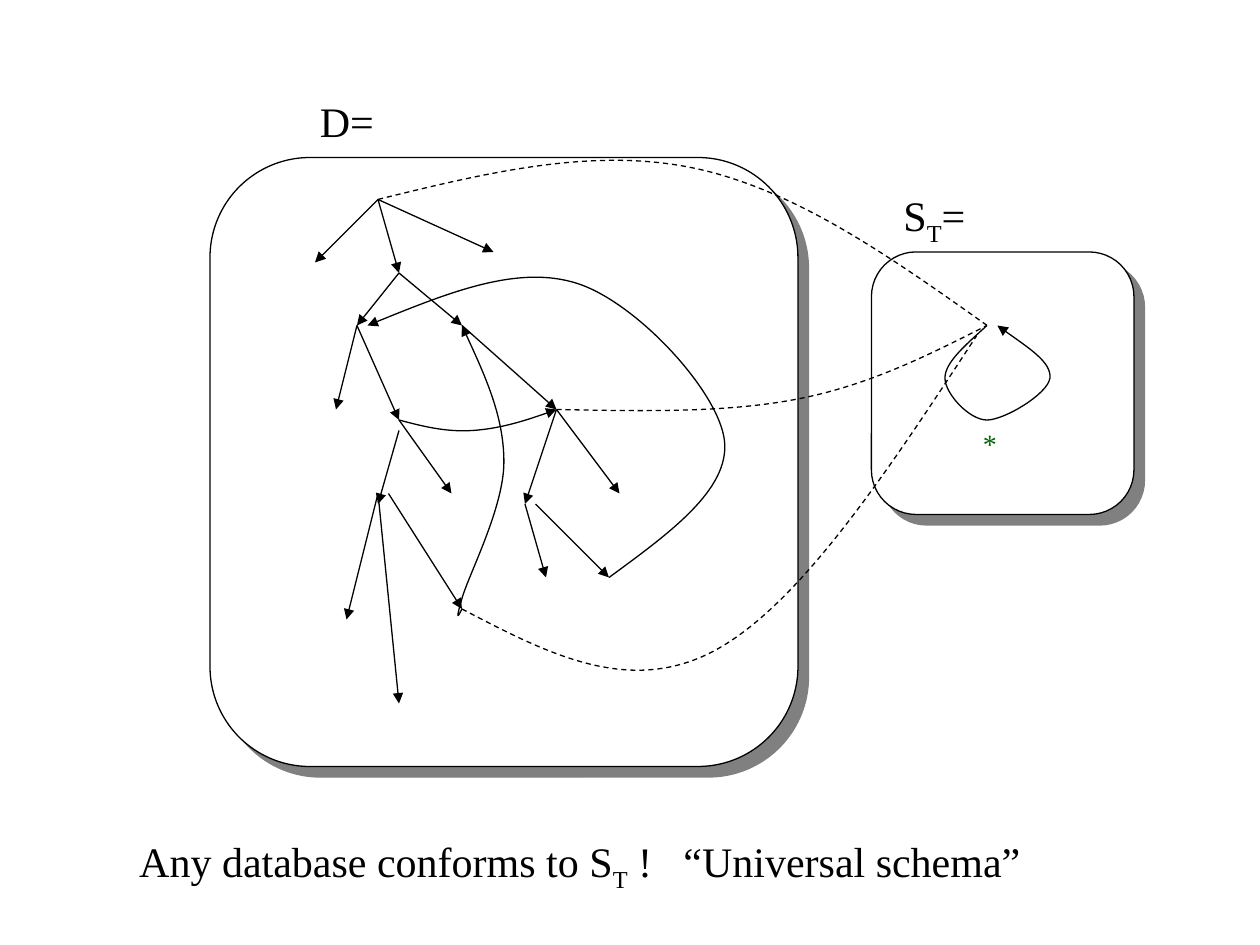
from lxml.etree import SubElement
from pptx import Presentation
from pptx.dml.color import RGBColor
from pptx.enum.dml import MSO_LINE
from pptx.enum.shapes import MSO_CONNECTOR, MSO_SHAPE
from pptx.enum.text import MSO_AUTO_SIZE, PP_ALIGN
from pptx.oxml.ns import qn
from pptx.util import Pt

COLORS = {"ink": "000000", "paper": "FFFFFF", "shadow": "808080", "star": "006600"}

# Tree edges: start point -> end points
EDGES = {
    (216, 114): [(180, 150), (228, 156), (282, 144)],
    (228, 156): [(204, 186), (264, 186)],
    (204, 186): [(192, 234), (228, 240)],
    (264, 186): [(318, 234)],
    (318, 234): [(300, 288), (354, 282)],
    (228, 246): [(216, 288)],
    (228, 240): [(258, 282)],
    (216, 282): [(198, 354), (228, 402)],
    (222, 282): [(264, 348)],
    (300, 288): [(312, 330)],
    (306, 288): [(348, 330)],
}

# Each curve: a start point, then three points per Bezier segment
SCHEMA_LOOP = [(564, 186), (552, 197), (540, 207), (540, 216),
               (540, 225), (554, 240), (564, 240),
               (574, 240), (599, 225), (600, 216),
               (601, 207), (585, 197), (570, 186)]
CROSS_EDGES = [
    [(228, 240), (241, 243.5), (255, 247), (270, 246),
     (285, 245), (302, 240), (318, 234)],
    [(264, 348), (262, 352), (260, 356), (264, 342),
     (268, 328), (288, 290), (288, 264),
     (288, 238), (276, 212), (264, 186)],
    [(348, 330), (382, 305), (417, 280), (414, 252),
     (411, 224), (364, 173), (330, 162),
     (296, 151), (253, 168.5), (210, 186)],
]
MAPPINGS = [
    [(216, 114), (277, 99), (338, 84), (396, 96),
     (454, 108), (509, 147), (564, 186)],
    [(318, 234), (366.5, 235), (415, 236), (456, 228),
     (497, 220), (530.5, 203), (564, 186)],
    [(264, 348), (312, 373), (359, 398), (408, 372),
     (457, 346), (507.5, 269), (558, 192)],
]


def rgb(name):
    return RGBColor.from_string(COLORS[name])


class Diagram:
    font = "Times New Roman"
    line_width = 0.75

    def __init__(self, slide):
        self.shapes = slide.shapes

    def outline(self, sp, arrow=False, dashed=False):
        sp.line.color.rgb = rgb("ink")
        sp.line.width = Pt(self.line_width)
        if dashed:
            sp.line.dash_style = MSO_LINE.DASH
        if arrow:
            ln = sp.element.spPr.find(qn("a:ln"))
            SubElement(ln, qn("a:tailEnd"), type="triangle")

    def box(self, x, y, w, h, radius):
        sp = self.shapes.add_shape(MSO_SHAPE.ROUNDED_RECTANGLE, Pt(x), Pt(y), Pt(w), Pt(h))
        sp.adjustments[0] = radius
        sp.fill.solid()
        sp.fill.fore_color.rgb = rgb("paper")
        self.outline(sp)
        sp.shadow.inherit = False
        effects = sp.element.spPr.find(qn("a:effectLst"))
        shadow = SubElement(effects, qn("a:outerShdw"), dist=str(Pt(8.5)),
                            dir="2700000", algn="ctr", rotWithShape="0")
        SubElement(shadow, qn("a:srgbClr"), val=COLORS["shadow"])

    def arrow(self, start, end):
        sp = self.shapes.add_connector(MSO_CONNECTOR.STRAIGHT, *map(Pt, start + end))
        self.outline(sp, arrow=True)
        SubElement(sp.element.spPr, qn("a:effectLst"))

    def curve(self, points, arrow=False, dashed=False):
        """Draw a Bezier chain by merging each three line segments into one cubic."""
        start, *rest = [(Pt(x), Pt(y)) for x, y in points]
        builder = self.shapes.build_freeform(*start)
        builder.add_line_segments(rest, close=False)
        sp = builder.convert_to_shape()
        segments = list(sp.element.iter(qn("a:lnTo")))
        for i in range(0, len(segments), 3):
            parent = segments[i].getparent()
            cubic = SubElement(parent, qn("a:cubicBezTo"))
            for segment in segments[i:i + 3]:
                cubic.append(segment[0])
                parent.remove(segment)
        sp.fill.background()
        self.outline(sp, arrow, dashed)
        sp.shadow.inherit = False

    def text(self, x, y, w, h, parts, size=24, color="ink", tab=None):
        """Write parts in turn, every second one as a subscript; a tab stop aligns left."""
        tf = self.shapes.add_textbox(Pt(x), Pt(y), Pt(w), Pt(h)).text_frame
        tf.word_wrap = bool(tab)
        tf.auto_size = MSO_AUTO_SIZE.SHAPE_TO_FIT_TEXT
        p = tf.paragraphs[0]
        p.alignment = PP_ALIGN.LEFT if tab else PP_ALIGN.CENTER
        if tab:
            tabs = SubElement(p._p.get_or_add_pPr(), qn("a:tabLst"))
            SubElement(tabs, qn("a:tab"), pos=str(Pt(tab)), algn="l")
        p.font.name = self.font
        p.font.size = Pt(size)
        p.font.color.rgb = rgb(color)
        for i, part in enumerate(parts):
            r = p.add_run()
            r.text = part
            if i % 2:
                r._r.get_or_add_rPr().set("baseline", "-25000")


def main():
    prs = Presentation()
    prs.slide_width, prs.slide_height = Pt(720), Pt(540)
    d = Diagram(prs.slides.add_slide(prs.slide_layouts[6]))

    d.box(120, 90, 336, 348, radius=0.17)
    d.box(498, 144, 150, 150, radius=0.17)
    d.curve(SCHEMA_LOOP, arrow=True)
    d.text(554.5, 240, 22, 26.5, ["*"], size=16, color="star")

    for start, ends in EDGES.items():
        for end in ends:
            d.arrow(start, end)
    for points in CROSS_EDGES:
        d.curve(points, arrow=True)
    for points in MAPPINGS:
        d.curve(points, dashed=True)

    d.text(175.5, 51, 45.5, 36, ["D="])
    d.text(509, 105, 50, 40, ["S", "T", "="])
    d.text(72.5, 474, 518, 40,
           ["Any database conforms to S", "T", " !\t“Universal schema”"], tab=311)
    prs.save("out.pptx")


if __name__ == "__main__":
    main()
